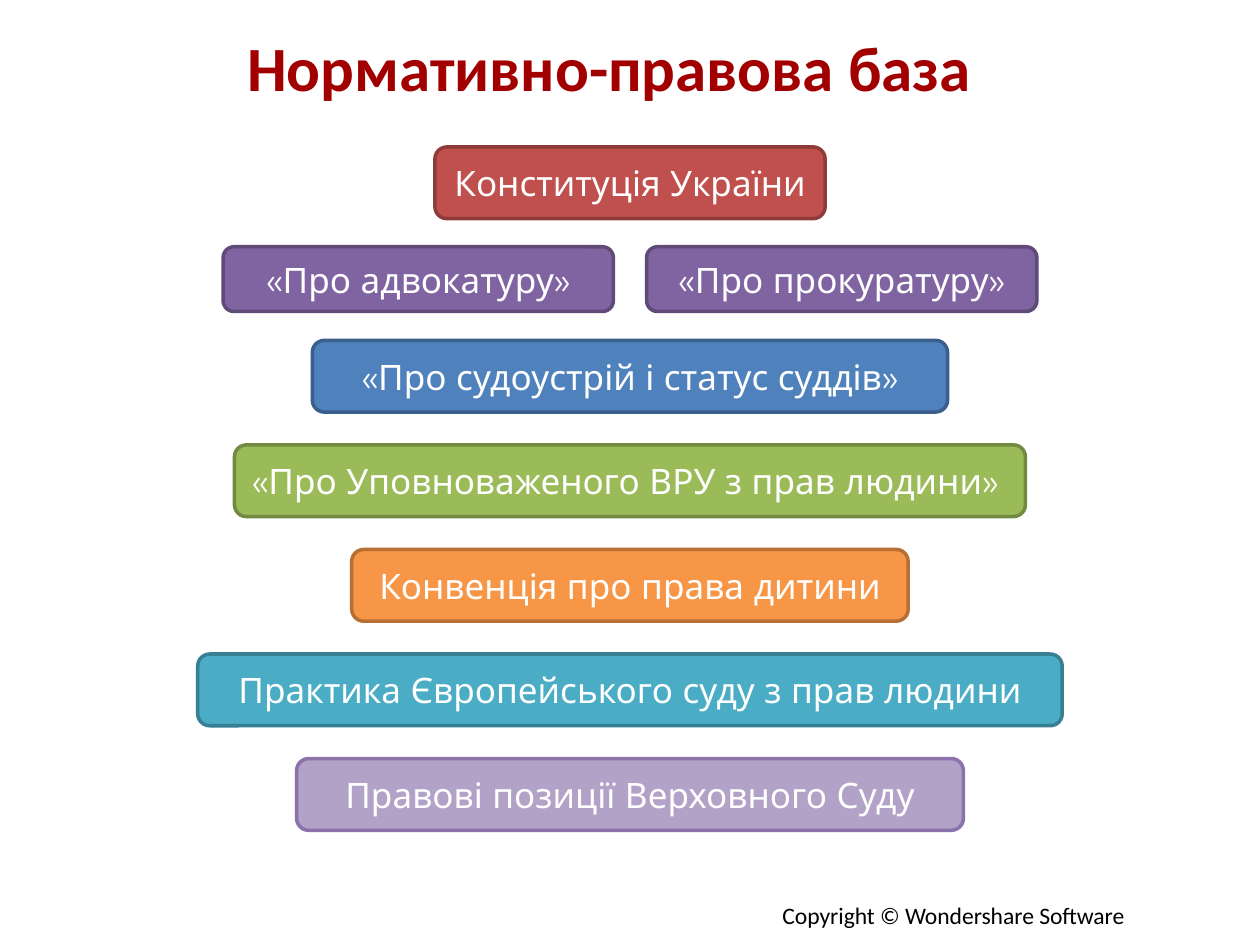
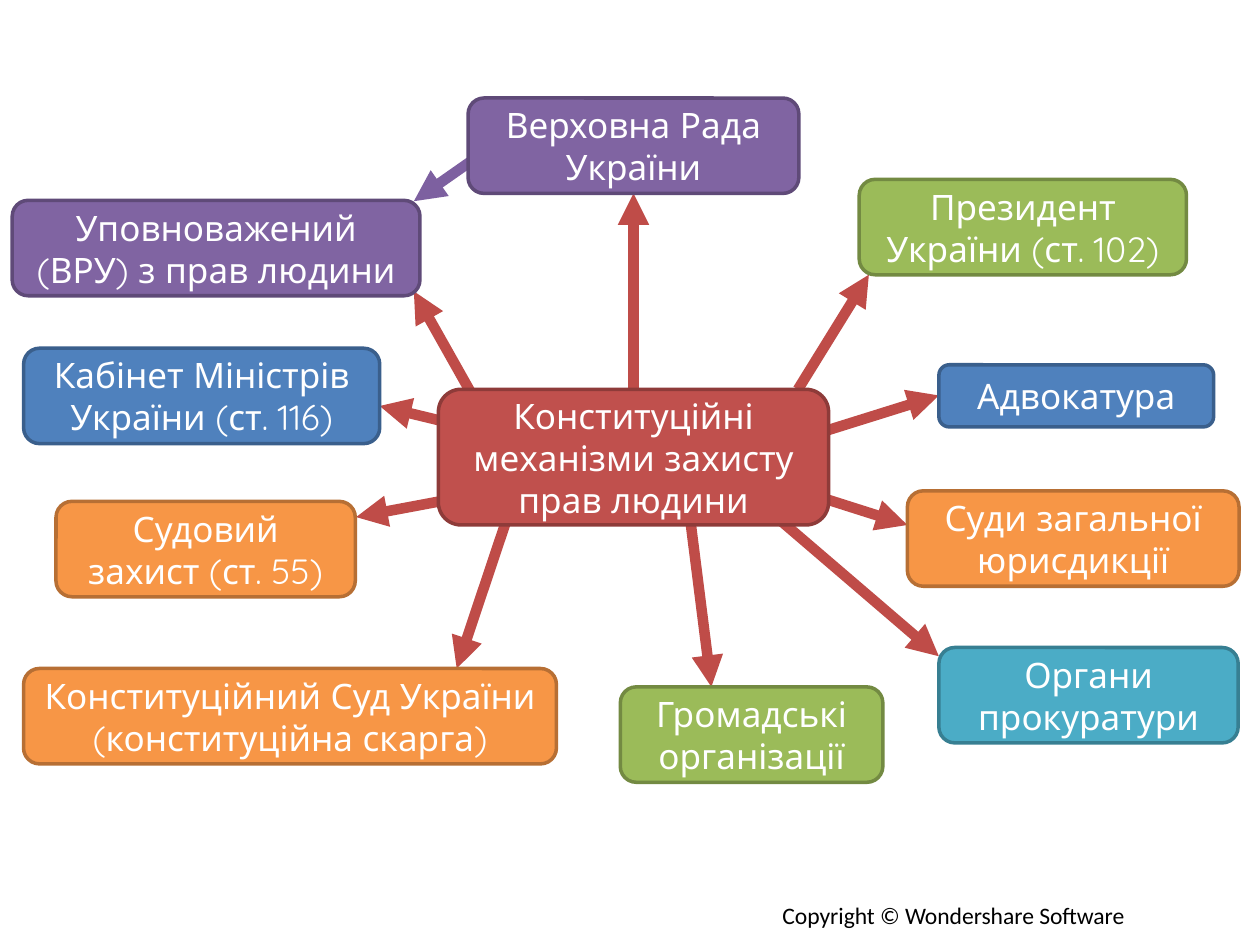
from pptx import Presentation
from pptx.dml.color import RGBColor
from pptx.enum.shapes import MSO_CONNECTOR, MSO_SHAPE
from pptx.enum.text import MSO_ANCHOR, MSO_AUTO_SIZE, PP_ALIGN
from pptx.oxml.ns import qn
from pptx.util import Pt
from lxml.etree import SubElement

WIDTH, HEIGHT = 720, 540
TITLE_ONLY, BLANK = 5, 6


def color(hex_value):
    return RGBColor.from_string(hex_value)


class Deck:
    TITLE_COLOR = "A20000"
    ARROW_RED, ARROW_PURPLE = "BF4C48", "7D60A0"
    THEMES = {
        "red": ("C0504D", "8E3B39"),
        "purple": ("8064A2", "5F4A78"),
        "lilac": ("B3A2C7", "8B72AA"),
        "blue": ("4F81BD", "3A5F8C"),
        "green": ("9BBB59", "738A42"),
        "orange": ("F79646", "B76F34"),
        "teal": ("4BACC6", "377F92"),
    }

    def __init__(self):
        self.presentation = Presentation()
        self.presentation.slide_width = Pt(WIDTH)
        self.presentation.slide_height = Pt(HEIGHT)
        self.slide = None

    def new_slide(self, layout):
        layouts = self.presentation.slide_layouts
        self.slide = self.presentation.slides.add_slide(layouts[layout])
        self.footer("Copyright © Wondershare Software")

    def style(self, frame, font_name, size, font_color, align, bold=False):
        for paragraph in frame.paragraphs:
            paragraph.alignment = align
            for run in paragraph.runs:
                run.font.name = font_name
                run.font.size = Pt(size)
                run.font.bold = bold
                run.font.color.rgb = color(font_color)

    def footer(self, text):
        copyright_line = self.slide.shapes.add_textbox(Pt(440), Pt(511), Pt(214), Pt(24))
        frame = copyright_line.text_frame
        frame.word_wrap = False
        frame.text = text
        self.style(frame, "Calibri", 13.5, "000000", PP_ALIGN.LEFT)

    def title(self, text, left, top, width, height):
        heading = self.slide.shapes.title
        heading.left, heading.top = Pt(left), Pt(top)
        heading.width, heading.height = Pt(width), Pt(height)
        frame = heading.text_frame
        frame.auto_size = MSO_AUTO_SIZE.NONE
        frame.vertical_anchor = MSO_ANCHOR.MIDDLE
        frame.text = text
        self.style(frame, "Calibri", 36, self.TITLE_COLOR, PP_ALIGN.JUSTIFY, bold=True)

    def box(self, text, theme, left, top, width, height):
        box = self.slide.shapes.add_shape(
            MSO_SHAPE.ROUNDED_RECTANGLE, Pt(left), Pt(top), Pt(width), Pt(height))
        box.shadow.inherit = False
        fill, border = self.THEMES[theme]
        box.fill.solid()
        box.fill.fore_color.rgb = color(fill)
        box.line.color.rgb = color(border)
        box.line.width = Pt(2)
        frame = box.text_frame
        frame.word_wrap = True
        frame.vertical_anchor = MSO_ANCHOR.MIDDLE
        frame.text = text
        self.style(frame, "Quicksand", 20, "FFFFFF", PP_ALIGN.CENTER)

    def centered_box(self, text, theme, top, width, height):
        self.box(text, theme, (WIDTH - width) / 2, top, width, height)

    def arrow(self, start_x, start_y, end_x, end_y, line_color):
        arrow = self.slide.shapes.add_connector(
            MSO_CONNECTOR.STRAIGHT, Pt(start_x), Pt(start_y), Pt(end_x), Pt(end_y))
        arrow.line.color.rgb = color(line_color)
        arrow.line.width = Pt(6)
        SubElement(arrow.line._get_or_add_ln(), qn("a:tailEnd"), type="triangle")
        SubElement(arrow._element.spPr, qn("a:effectLst"))


def legal_framework(deck):
    deck.new_slide(TITLE_ONLY)
    deck.title("Нормативно-правова база", 134, 13.5, 452, 49)

    row_height = 41
    deck.centered_box("Конституція України", "red", 84, 223, row_height)

    law_width, law_gap = 223, 19
    laws_left = (WIDTH - 2 * law_width - law_gap) / 2
    for column, law in enumerate(("«Про адвокатуру»", "«Про прокуратуру»")):
        left = laws_left + column * (law_width + law_gap)
        deck.box(law, "purple", left, 141, law_width, 37)

    sources = [
        ("«Про судоустрій і статус суддів»", "blue", 363),
        ("«Про Уповноваженого ВРУ з прав людини» ", "green", 452),
        ("Конвенція про права дитини", "orange", 318),
        ("Практика Європейського суду з прав людини", "teal", 494),
        ("Правові позиції Верховного Суду", "lilac", 381),
    ]
    first_top, row_step = 194.5, 59.75
    for row, (source, theme, width) in enumerate(sources):
        deck.centered_box(source, theme, first_top + row * row_step, width, row_height)


def protection_mechanisms(deck):
    deck.new_slide(BLANK)

    arrows_from_center = [
        (362, 222.5, 362, 110.5),
        (456, 222.5, 496.5, 157),
        (472.5, 246, 536.5, 226),
        (465, 283, 518.5, 300),
        (442, 294, 536.5, 375),
        (270, 226, 236.5, 166.5),
        (260.5, 242.5, 217, 232),
        (270, 283, 203.5, 295.5),
        (293, 286.5, 261, 382),
        (394.5, 297.5, 406.5, 392.5),
    ]
    for ends in arrows_from_center:
        deck.arrow(*ends, deck.ARROW_RED)
    deck.arrow(281.5, 83.5, 236.5, 115, deck.ARROW_PURPLE)

    body_height = 54.5
    bodies = [
        ("Верховна Рада України", "purple", 267.5, 56, 189),
        ("Уповноважений (ВРУ) з прав людини", "purple", 7, 114.5, 233),
        ("Президент України (ст. 102)", "green", 491, 102.5, 187),
        ("Суди загальної юрисдикції", "orange", 518.5, 280.5, 189.5),
        ("Органи прокуратури", "teal", 536.5, 370, 171),
        ("Громадські організації", "green", 354.5, 392.5, 150),
        ("Судовий захист (ст. 55)", "orange", 32, 286.5, 171),
        ("Кабінет Міністрів України (ст. 116)", "blue", 13.5, 199, 203.5),
        ("Конституційний Суд України (конституційна скарга)", "orange", 13.5, 382, 304.5),
    ]
    for name, theme, left, top, width in bodies:
        deck.box(name, theme, left, top, width, body_height)
    deck.box("Адвокатура", "blue", 536.5, 208.5, 157, 35.5)
    deck.box("Конституційні механізми захисту прав людини", "red", 250.5, 222.5, 223, 77.5)


def main():
    deck = Deck()
    legal_framework(deck)
    protection_mechanisms(deck)
    deck.presentation.save("out.pptx")


if __name__ == "__main__":
    main()
